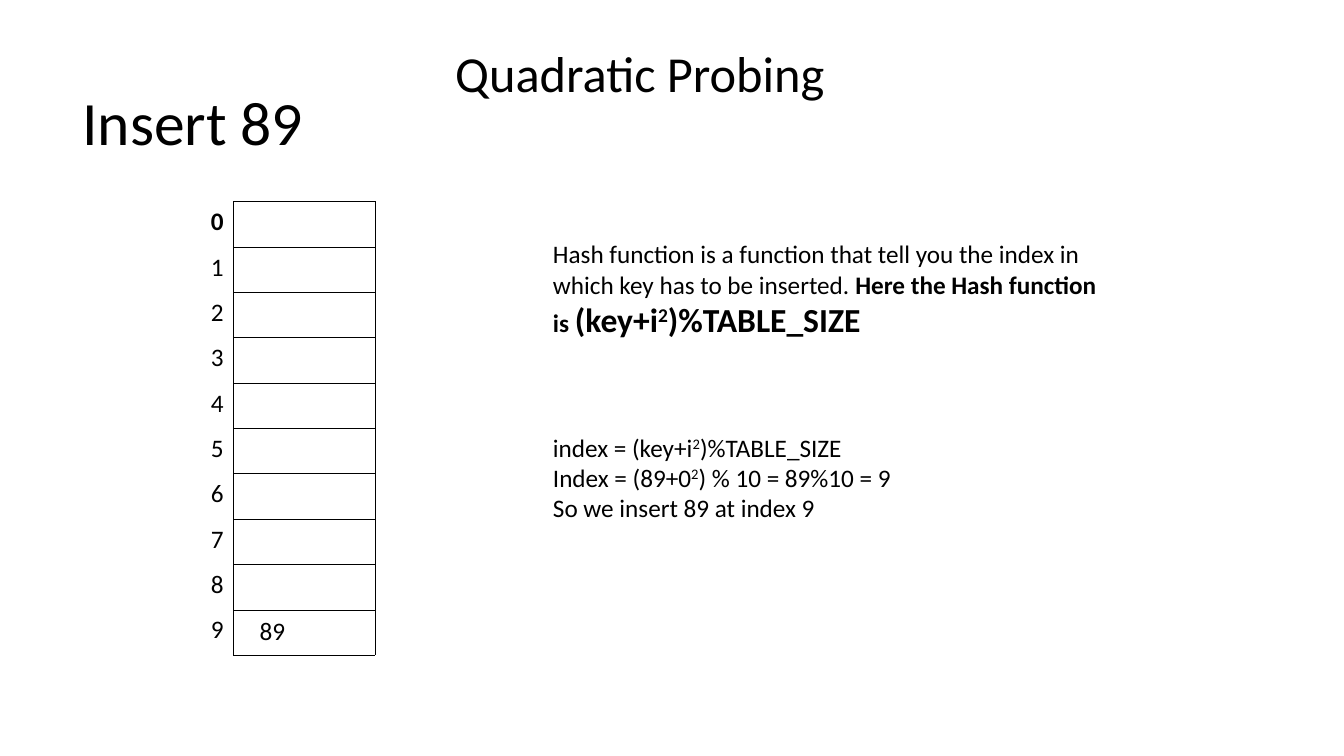
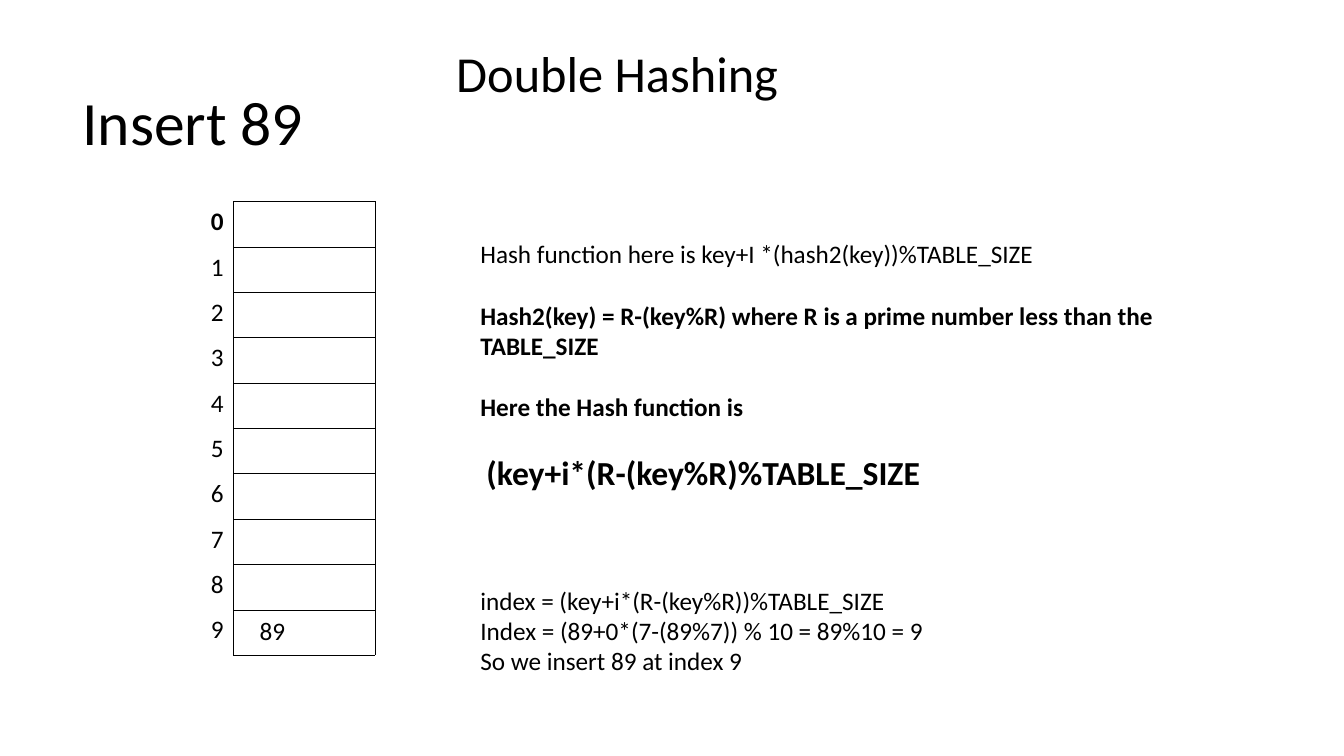
from dataclasses import dataclass
from typing import Optional

from lxml.etree import SubElement
from pptx import Presentation
from pptx.dml.color import RGBColor
from pptx.enum.text import MSO_ANCHOR, MSO_AUTO_SIZE, PP_ALIGN
from pptx.oxml.ns import qn
from pptx.slide import Slide
from pptx.util import Inches, Pt

COLORS = {"ink": "000000", "paper": "FFFFFF"}
FONT = "Calibri"
BODY_SIZE = 18
FORMULA_SIZE = 24
BLANK_LINE = 22  # points, height of one body line
TABLE_SIZE = 10
COLUMN_WIDTH = Inches(1.4)
ROW_HEIGHT = Inches(0.45)
BORDER_WIDTH = Pt(0.45)


@dataclass(frozen=True)
class Span:
    text: str
    size: float = BODY_SIZE
    bold: bool = False
    superscript: bool = False


@dataclass(frozen=True)
class Line:
    spans: tuple[Span, ...]
    blank_lines_before: int = 0
    indent: float = 0


@dataclass(frozen=True)
class Box:
    left: float
    top: float
    width: float
    height: float


@dataclass(frozen=True)
class HashingSlide:
    method: str
    method_box: Box
    explanation: tuple[Line, ...]
    explanation_box: Box


TITLE_BOX = Box(0.72, 0.8, 11.5, 0.9)
KEY_BOX = Box(2.48, 6.06, 0.6, 0.4)


def plain(text: str, blank_lines_before: int = 0) -> Line:
    return Line((Span(text),), blank_lines_before)


def squared(before: str, after: str, blank_lines_before: int = 0) -> Line:
    return Line((Span(before), Span("2", superscript=True), Span(after)),
                blank_lines_before)


CONCLUSION = plain("So we insert 89 at index 9")

HASHING_SLIDES = (
    HashingSlide(
        method="Quadratic Probing",
        method_box=Box(4.42, 0.37, 3.89, 0.7),
        explanation=(
            Line((
                Span("Hash function is a function that tell you the index in "
                     "which key has to be inserted. "),
                Span("Here the Hash function is ", bold=True),
                Span("(key+i", FORMULA_SIZE, bold=True),
                Span("2", FORMULA_SIZE, bold=True, superscript=True),
                Span(")%TABLE_SIZE", FORMULA_SIZE, bold=True),
            )),
            squared("index = (key+i", ")%TABLE_SIZE", 3),
            squared("Index = (89+0", ") % 10 = 89%10 = 9"),
            CONCLUSION,
        ),
        explanation_box=Box(5.39, 2.32, 5.79, 2.9),
    ),
    HashingSlide(
        method="Double Hashing",
        method_box=Box(4.43, 0.37, 3.39, 0.7),
        explanation=(
            plain("Hash function here is key+I *(hash2(key))%TABLE_SIZE"),
            Line((Span("Hash2(key) = R-(key%R) where R is a prime number less "
                       "than the TABLE_SIZE", bold=True),), 1),
            Line((Span("Here the Hash function is", bold=True),), 1),
            Line((Span("(key+i*(R-(key%R)%TABLE_SIZE", FORMULA_SIZE, bold=True),),
                 1, indent=0.06),
            plain("index = (key+i*(R-(key%R))%TABLE_SIZE", 3),
            plain("Index = (89+0*(7-(89%7)) % 10 = 89%10 = 9"),
            CONCLUSION,
        ),
        explanation_box=Box(4.67, 2.32, 7.76, 4.4),
    ),
)


def write_line(paragraph, line: Line) -> None:
    if line.blank_lines_before:
        paragraph.space_before = Pt(BLANK_LINE * line.blank_lines_before)
    if line.indent:
        paragraph._p.get_or_add_pPr().set("marL", str(Inches(line.indent)))
    for span in line.spans:
        run = paragraph.add_run()
        run.text = span.text
        run.font.name = FONT
        run.font.size = Pt(span.size)
        run.font.bold = span.bold
        run.font.color.rgb = RGBColor.from_string(COLORS["ink"])
        if span.superscript:
            run._r.get_or_add_rPr().set("baseline", "30000")


def add_text(slide: Slide, box: Box, lines: tuple[Line, ...], wrap: bool = True,
             anchor: MSO_ANCHOR = MSO_ANCHOR.TOP,
             line_spacing: Optional[float] = None) -> None:
    frame = slide.shapes.add_textbox(
        Inches(box.left), Inches(box.top), Inches(box.width), Inches(box.height)
    ).text_frame
    frame.word_wrap = wrap
    frame.vertical_anchor = anchor
    frame.auto_size = MSO_AUTO_SIZE.NONE
    for position, line in enumerate(lines):
        paragraph = frame.add_paragraph() if position else frame.paragraphs[0]
        paragraph.line_spacing = line_spacing
        write_line(paragraph, line)


def style_cell(cell, sides: tuple[str, ...]) -> None:
    # Borders come before the fill in the cell properties
    properties = cell._tc.get_or_add_tcPr()
    for side in ("L", "R", "T", "B"):
        visible = side in sides
        border = SubElement(properties, qn(f"a:ln{side}"),
                            w=str(BORDER_WIDTH if visible else 0))
        if visible:
            fill = SubElement(border, qn("a:solidFill"))
            SubElement(fill, qn("a:srgbClr"), val=COLORS["ink"])
        else:
            SubElement(border, qn("a:noFill"))
    cell.fill.solid()
    cell.fill.fore_color.rgb = RGBColor.from_string(COLORS["paper"])


def add_hash_table(slide: Slide) -> None:
    hash_table = slide.shapes.add_table(
        TABLE_SIZE, 2, Inches(0.92), Inches(2),
        2 * COLUMN_WIDTH, TABLE_SIZE * ROW_HEIGHT).table
    hash_table.first_row = False
    hash_table.horz_banding = False
    for column in hash_table.columns:
        column.width = COLUMN_WIDTH
    for index, row in enumerate(hash_table.rows):
        row.height = ROW_HEIGHT
        label, slot = row.cells
        paragraph = label.text_frame.paragraphs[0]
        paragraph.alignment = PP_ALIGN.RIGHT
        write_line(paragraph, Line((Span(str(index), bold=index == 0),)))
        style_cell(label, ("R",))
        style_cell(slot, ("L", "R", "T", "B"))


def add_hashing_slide(deck, content: HashingSlide) -> None:
    slide = deck.slides.add_slide(deck.slide_layouts[6])
    # Title and table
    add_text(slide, TITLE_BOX, (Line((Span("Insert 89", 44),)),),
             anchor=MSO_ANCHOR.MIDDLE, line_spacing=0.9)
    add_hash_table(slide)
    # Explanation, inserted key and name of the method
    add_text(slide, content.explanation_box, content.explanation)
    add_text(slide, KEY_BOX, (plain("89"),))
    add_text(slide, content.method_box, (Line((Span(content.method, 36),)),),
             wrap=False)


def main() -> None:
    deck = Presentation()
    deck.slide_width = Inches(13.34)
    deck.slide_height = Inches(7.5)
    for content in HASHING_SLIDES:
        add_hashing_slide(deck, content)
    deck.save("out.pptx")


if __name__ == "__main__":
    main()
